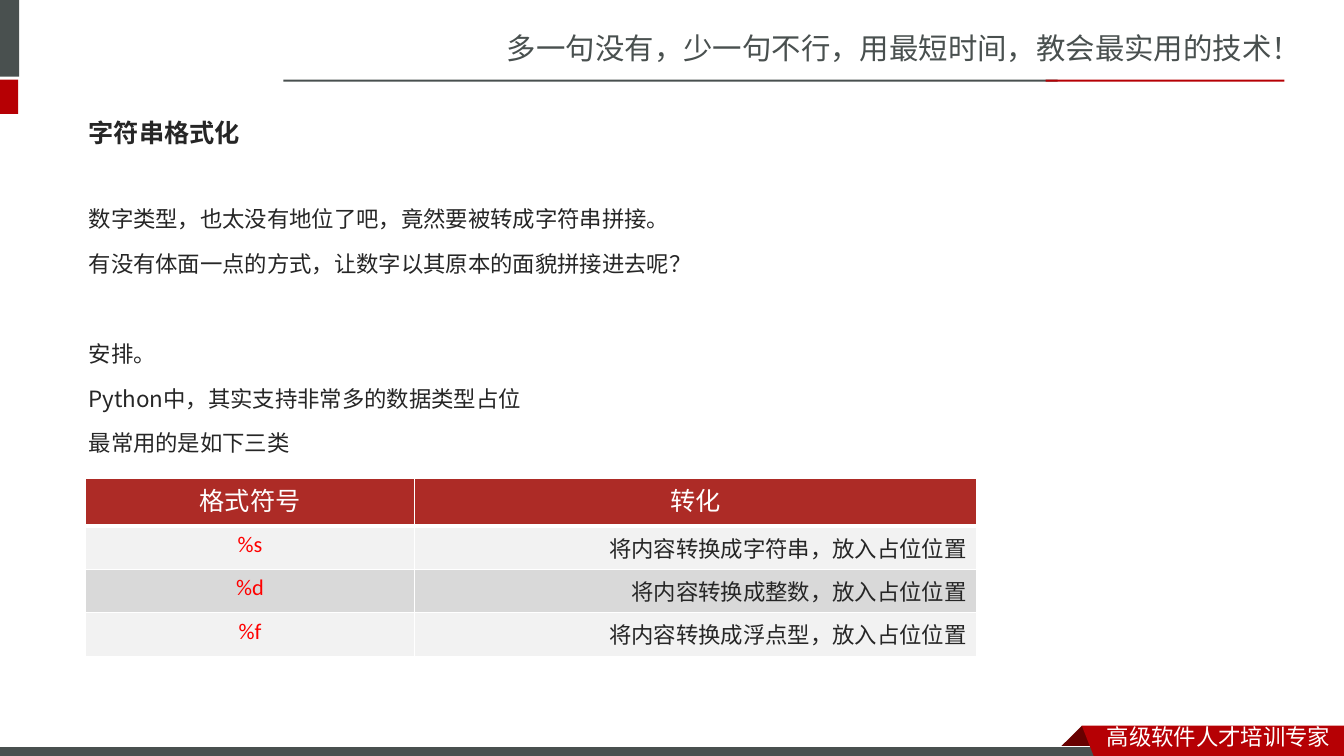
from dataclasses import dataclass
from typing import Any, NamedTuple

from lxml.etree import SubElement
from pptx import Presentation
from pptx.dml.color import RGBColor
from pptx.enum.shapes import MSO_SHAPE as Shape
from pptx.enum.text import MSO_ANCHOR as Anchor, MSO_AUTO_SIZE as AutoSize, PP_ALIGN as Align
from pptx.oxml.ns import qn
from pptx.util import Inches, Pt


@dataclass(frozen=True)
class Theme:
    slate: str = "49504F"
    red: str = "B60004"
    dark_red: str = "680000"
    white: str = "FFFFFF"
    ink: str = "262626"
    symbol: str = "FF0000"
    head_fill: str = "AD2B26"
    row_fills: tuple[str, str] = ("F2F2F2", "D9D9D9")
    sans: str = "Noto Sans CJK SC"
    body_sans: str = "Noto Sans CJK JP"
    latin: str = "Calibri"
    slogan_size: int = 21
    heading_size: int = 18
    text_size: int = 16


class Style(NamedTuple):
    size: int
    color: str
    latin: str
    east: str
    bold: bool = False


class Bar(NamedTuple):
    left: float
    top: float
    width: float
    height: float
    color: str
    outlined: bool = False


class Ribbon(NamedTuple):
    points: list[tuple[float, float]]
    color: str


class Caption(NamedTuple):
    text: str
    box: tuple[float, float, float, float]
    style: Style


THEME = Theme()
HEADING_STYLE = Style(THEME.heading_size, THEME.ink, THEME.body_sans, THEME.body_sans, True)
BODY_STYLE = Style(THEME.text_size, THEME.ink, THEME.body_sans, THEME.body_sans)
HEAD_CELL = Style(THEME.heading_size, THEME.white, THEME.latin, THEME.sans)
SYMBOL_CELL = Style(THEME.text_size, THEME.symbol, THEME.latin, THEME.sans)
MEANING_CELL = Style(THEME.text_size, THEME.ink, THEME.latin, THEME.sans)

BARS = [
    Bar(-0.06, 0, 0.25, 0.76, THEME.slate),
    Bar(-0.06, 0.79, 0.24, 0.34, THEME.red),
    Bar(2.81, 0.79, 7.68, 0.02, THEME.slate),
    Bar(10.37, 0.79, 2.37, 0.02, THEME.red),
]
FOOTER_BAR = Bar(-0.01, 7.41, 11, 0.12, THEME.slate, True)
RIBBON_FOLD = Ribbon([(10.73, 7.2), (10.95, 7.42), (10.94, 7.43), (10.52, 7.43), (10.51, 7.42)],
                     THEME.dark_red)
RIBBON_FRONT = Ribbon([(10.73, 7.2), (13.33, 7.2), (13.33, 7.54), (10.86, 7.53)], THEME.red)
CAPTIONS = [
    Caption("多一句没有，少一句不行，用最短时间，教会最实用的技术！", (4.93, 0.28, 8.41, 0.47),
            Style(THEME.slogan_size, THEME.slate, THEME.sans, THEME.sans)),
    Caption("高级软件人才培训专家", (10.88, 7.15, 2.45, 0.37),
            Style(THEME.text_size, THEME.white, THEME.sans, THEME.sans)),
]
PASSAGES = [
    ["数字类型，也太没有地位了吧，竟然要被转成字符串拼接。",
     "有没有体面一点的方式，让数字以其原本的面貌拼接进去呢？"],
    ["安排。", "Python中，其实支持非常多的数据类型占位", "最常用的是如下三类"],
]
FORMATS = [
    ("格式符号", "转化"),
    ("%s", "将内容转换成字符串，放入占位位置"),
    ("%d", "将内容转换成整数，放入占位位置"),
    ("%f", "将内容转换成浮点型，放入占位位置"),
]
COLUMN_WIDTHS = (3.26, 5.58)
ROW_HEIGHTS = (0.47, 0.43, 0.43, 0.43)
LINE_PITCH = Pt(32)


def apply(target: Any, values: dict[str, Any]) -> None:
    for name, value in values.items():
        setattr(target, name, value)


def place(shape: Any, left: float, top: float, width: float, height: float) -> None:
    apply(shape, {"left": Inches(left), "top": Inches(top),
                  "width": Inches(width), "height": Inches(height)})


def paint(fill: Any, color: str) -> None:
    fill.solid()
    fill.fore_color.rgb = RGBColor.from_string(color)


def write(paragraph: Any, text: str, style: Style, **layout: Any) -> None:
    apply(paragraph, layout)
    run = paragraph.add_run()
    run.text = text
    apply(run.font, {"size": Pt(style.size), "bold": style.bold, "name": style.latin})
    run.font.color.rgb = RGBColor.from_string(style.color)
    SubElement(run.font._element, qn("a:ea"), typeface=style.east)


def draw_bar(slide: Any, bar: Bar) -> None:
    shape = slide.shapes.add_shape(Shape.RECTANGLE, 0, 0, 0, 0)
    place(shape, bar.left, bar.top, bar.width, bar.height)
    finish(shape, bar.color)
    if bar.outlined:
        paint(shape.line.fill, THEME.white)
        shape.line.width = Pt(0.75)


def finish(shape: Any, color: str) -> None:
    paint(shape.fill, color)
    shape.line.fill.background()
    shape.shadow.inherit = False


def draw_ribbon(slide: Any, ribbon: Ribbon) -> None:
    start, *rest = [(Inches(x), Inches(y)) for x, y in ribbon.points]
    builder = slide.shapes.build_freeform(*start)
    builder.add_line_segments(rest, close=True)
    finish(builder.convert_to_shape(), ribbon.color)


def draw_caption(slide: Any, caption: Caption) -> None:
    box = slide.shapes.add_textbox(0, 0, 0, 0)
    place(box, *caption.box)
    apply(box.text_frame, {"word_wrap": True, "margin_top": Inches(0.02)})
    write(box.text_frame.paragraphs[0], caption.text, caption.style)


def fill_heading(heading: Any) -> None:
    place(heading, 0.78, 1.03, 11.7, 0.57)
    apply(heading.text_frame, {"vertical_anchor": Anchor.MIDDLE, "auto_size": AutoSize.NONE})
    write(heading.text_frame.paragraphs[0], "字符串格式化", HEADING_STYLE, alignment=Align.LEFT)


def fill_body(body: Any) -> None:
    place(body, 0.78, 1.81, 11.7, 4.61)
    frame = body.text_frame
    apply(frame, {"vertical_anchor": Anchor.TOP, "auto_size": AutoSize.NONE})
    for passage_index, passage in enumerate(PASSAGES):
        for line_index, line in enumerate(passage):
            first = passage_index == line_index == 0
            paragraph = frame.paragraphs[0] if first else frame.add_paragraph()
            properties = paragraph._p.get_or_add_pPr()
            properties.set("marL", "0")
            properties.set("indent", "0")
            SubElement(properties, qn("a:buNone"))
            gap = LINE_PITCH if passage_index and line_index == 0 else Pt(0)
            write(paragraph, line, BODY_STYLE, line_spacing=LINE_PITCH, space_before=gap)


def border(cell: Any, bottom: float) -> None:
    properties = cell._tc.get_or_add_tcPr()
    for side, width in {"L": 1, "R": 1, "T": 1, "B": bottom}.items():
        edge = SubElement(properties, qn(f"a:ln{side}"), w=str(Pt(width)))
        SubElement(SubElement(edge, qn("a:solidFill")), qn("a:srgbClr"), val=THEME.white)


def draw_formats(slide: Any) -> None:
    table = slide.shapes.add_table(len(FORMATS), len(COLUMN_WIDTHS), Inches(0.85), Inches(4.75),
                                   Inches(sum(COLUMN_WIDTHS)), Inches(sum(ROW_HEIGHTS))).table
    for column, width in zip(table.columns, COLUMN_WIDTHS):
        column.width = Inches(width)
    for row_index, (row, height) in enumerate(zip(table.rows, ROW_HEIGHTS)):
        row.height = Inches(height)
        is_head = row_index == 0
        for column_index, cell in enumerate(row.cells):
            border(cell, 3 if is_head else 1)
            paint(cell.fill, THEME.head_fill if is_head else THEME.row_fills[(row_index - 1) % 2])
            style = HEAD_CELL if is_head else (SYMBOL_CELL, MEANING_CELL)[column_index]
            layout = {"alignment": Align.CENTER if is_head or column_index == 0 else Align.RIGHT}
            if is_head:
                layout["line_spacing"] = Pt(24)
            write(cell.text_frame.paragraphs[0], FORMATS[row_index][column_index], style, **layout)


def main() -> None:
    deck = Presentation()
    apply(deck, {"slide_width": Inches(13.33), "slide_height": Inches(7.5)})
    slide = deck.slides.add_slide(deck.slide_layouts[1])
    fill_heading(slide.shapes.title)
    fill_body(slide.placeholders[1])
    for bar in BARS:
        draw_bar(slide, bar)
    draw_ribbon(slide, RIBBON_FOLD)
    draw_bar(slide, FOOTER_BAR)
    draw_ribbon(slide, RIBBON_FRONT)
    for caption in CAPTIONS:
        draw_caption(slide, caption)
    draw_formats(slide)
    deck.save("out.pptx")


if __name__ == "__main__":
    main()
